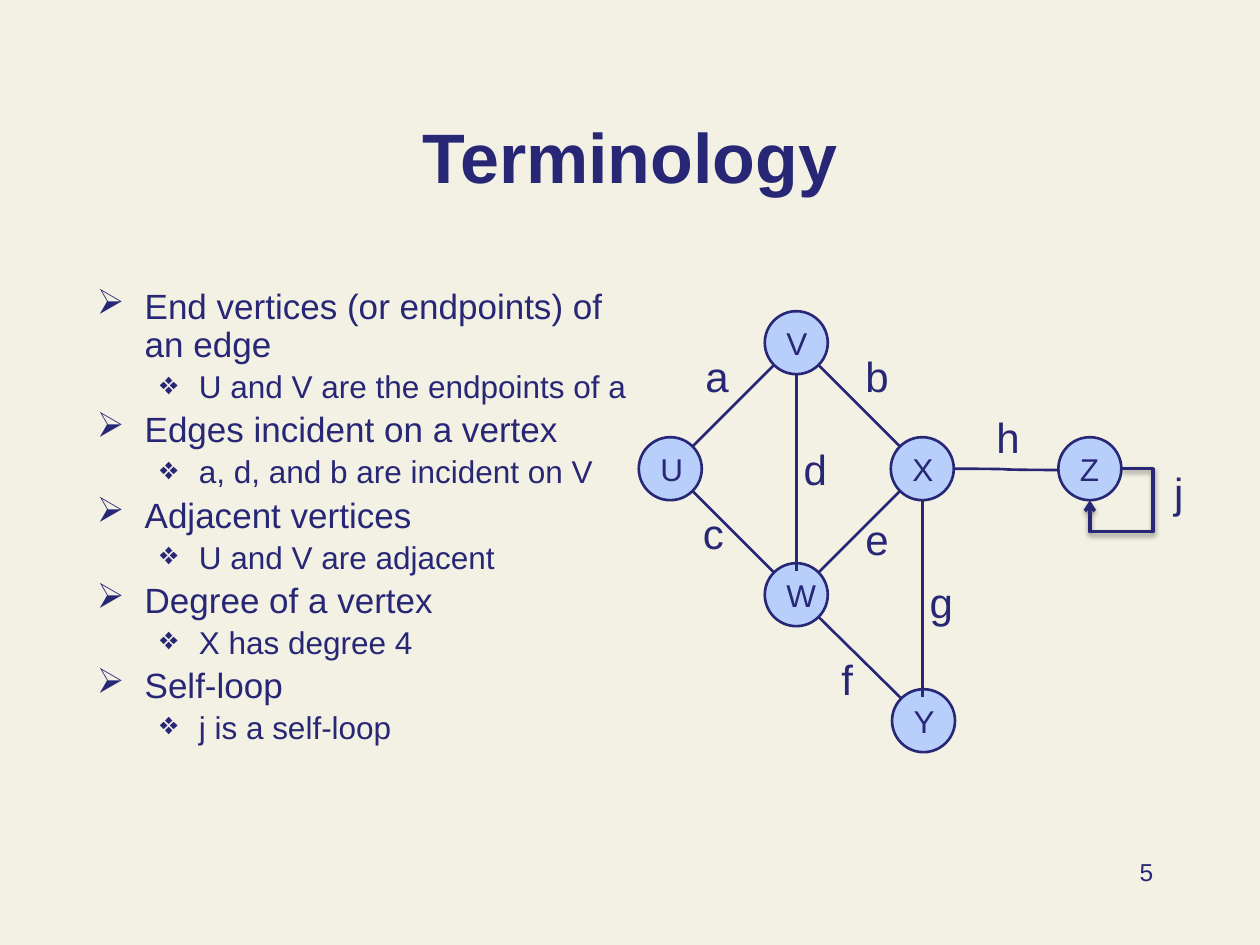
import pptx
import pptx.util
import pptx.dml.color
import pptx.enum.shapes
import pptx.enum.text
import pptx.oxml
import pptx.oxml.ns
from pptx.util import Inches

NAVY = pptx.dml.color.RGBColor(0x27, 0x27, 0x76)
BLUE = pptx.dml.color.RGBColor(0xB8, 0xCF, 0xFB)
CREAM = pptx.dml.color.RGBColor(0xF3, 0xF1, 0xE4)
ALIGN = pptx.enum.text.PP_ALIGN
ANCHOR = pptx.enum.text.MSO_ANCHOR
LINK = pptx.enum.shapes.MSO_CONNECTOR
NS = pptx.oxml.ns.nsdecls("a")

deck = pptx.Presentation()
deck.slide_width, deck.slide_height = Inches(10), Inches(7.5)
slide = deck.slides.add_slide(deck.slide_layouts[6])
slide.background.fill.solid()
slide.background.fill.fore_color.rgb = CREAM


def write(para, text, size, bold=False):
    run = para.add_run()
    run.text = text
    run.font.name = "Arial"
    run.font.size = pptx.util.Pt(size)
    run.font.bold = bold
    run.font.color.rgb = NAVY


def link(kind, start, end, width=1.5):
    edge = slide.shapes.add_connector(kind, *map(Inches, start + end))
    edge.line.color.rgb = NAVY
    edge.line.width = pptx.util.Pt(width)
    effects = pptx.oxml.parse_xml(f"<a:effectLst {NS}/>")
    edge._element.spPr.append(effects)
    return edge, effects


# Title
box = slide.shapes.add_textbox(Inches(0.75), Inches(0.54), Inches(8.5), Inches(1.08))
frame = box.text_frame
frame.word_wrap = True
frame.vertical_anchor = ANCHOR.BOTTOM
frame.paragraphs[0].alignment = ALIGN.CENTER
write(frame.paragraphs[0], "Terminology", 40, True)

# Terms, each with an example below it
terms = [
    ("End vertices (or endpoints) of an edge", "U and V are the endpoints of a"),
    ("Edges incident on a vertex", "a, d, and b are incident on V"),
    ("Adjacent vertices", "U and V are adjacent"),
    ("Degree of a vertex", "X has degree 4"),
    ("Self-loop", "j is a self-loop"),
]
# level: size, space before, bullet, left margin, hanging indent
styles = [(20, 4, "➢", 0.38, -0.38), (18, 3.6, "❖", 0.81, -0.31)]
box = slide.shapes.add_textbox(Inches(0.67), Inches(2.25), Inches(4.43), Inches(4.92))
frame = box.text_frame
frame.word_wrap = True
for row, pair in enumerate(terms):
    for level, text in enumerate(pair):
        size, space, mark, left, hang = styles[level]
        first = row == level == 0
        para = frame.paragraphs[0] if first else frame.add_paragraph()
        para.level = level
        para.line_spacing = 0.9
        para.space_before = pptx.util.Pt(0 if first else space)
        props = para._p.get_or_add_pPr()
        props.set("marL", str(Inches(left)))
        props.set("indent", str(Inches(hang)))
        for xml in (f'<a:buClr {NS}><a:srgbClr val="{NAVY}"/></a:buClr>',
                    f'<a:buChar {NS} char="{mark}"/>'):
            props.append(pptx.oxml.parse_xml(xml))
        write(para, text, size)

# Slide number
box = slide.shapes.add_textbox(Inches(7.17), Inches(6.75), Inches(2.08), Inches(0.5))
box.text_frame.word_wrap = True
box.text_frame.paragraphs[0].alignment = ALIGN.RIGHT
write(box.text_frame.paragraphs[0], "5", 14)

# Vertices, by centre
nodes = {"X": (7.32, 3.72), "U": (5.32, 3.72), "V": (6.32, 2.72),
         "W": (6.32, 4.72), "Z": (8.65, 3.72), "Y": (7.33, 5.72)}
RAD = 0.25
for name, (x, y) in nodes.items():
    node = slide.shapes.add_shape(
        pptx.enum.shapes.MSO_SHAPE.OVAL, Inches(x - RAD), Inches(y - RAD),
        Inches(2 * RAD), Inches(2 * RAD))
    node.shadow.inherit = False
    node.fill.solid()
    node.fill.fore_color.rgb = BLUE
    node.line.color.rgb = NAVY
    node.line.width = pptx.util.Pt(1.5)
    frame = node.text_frame
    frame.word_wrap = True
    frame.vertical_anchor = ANCHOR.MIDDLE
    frame.paragraphs[0].alignment = ALIGN.LEFT
    write(frame.paragraphs[0], name, 18)

# Diagonal edges, from rim to rim at 45 degrees
DIAG = RAD * 0.71
for one, two in ("VU", "WU", "WX", "VX", "WY"):
    (x1, y1), (x2, y2) = nodes[one], nodes[two]
    dx = DIAG if x2 > x1 else -DIAG
    dy = DIAG if y2 > y1 else -DIAG
    link(LINK.STRAIGHT, (x1 + dx, y1 + dy), (x2 - dx, y2 - dy))

# Upright edges d and g, ending just inside the lower vertex
for name in "VX":
    x, y = nodes[name]
    link(LINK.STRAIGHT, (x, y + RAD), (x, y + RAD + 1.56))

# Edge h
link(LINK.CURVE, (7.57, 3.72), (8.4, 3.73))

# Self-loop j, with arrowhead and soft shadow
x, y = nodes["Z"]
loop, effects = link(LINK.ELBOW, (x + RAD, y), (x, y + RAD), 2)
loop.line._get_or_add_ln().append(
    pptx.oxml.parse_xml(f'<a:tailEnd {NS} type="arrow"/>'))
geom = loop._element.spPr.find(pptx.oxml.ns.qn("a:prstGeom"))
geom.set("prst", "bentConnector4")
guides = geom.get_or_add_avLst()
for name, value in (("adj1", -100000), ("adj2", 200000)):
    guides.append(pptx.oxml.parse_xml(f'<a:gd {NS} name="{name}" fmla="val {value}"/>'))
effects.append(pptx.oxml.parse_xml(
    f'<a:outerShdw {NS} blurRad="{pptx.util.Pt(3.1)}" dist="{pptx.util.Pt(1.6)}" '
    'dir="5400000" rotWithShape="0"><a:srgbClr val="000000">'
    '<a:alpha val="38000"/></a:srgbClr></a:outerShdw>'))

# Edge labels: left, top, width
labels = {"a": (5.5, 2.73, 0.38), "c": (5.48, 3.98, 0.36), "b": (6.77, 2.73, 0.39),
          "e": (6.77, 4.03, 0.38), "d": (6.28, 3.47, 0.39), "f": (6.58, 5.14, 0.31),
          "g": (7.28, 4.53, 0.39), "h": (7.81, 3.22, 0.39), "j": (9.22, 3.65, 0.3)}
for name, (x, y, wide) in labels.items():
    box = slide.shapes.add_textbox(Inches(x), Inches(y), Inches(wide), Inches(0.5))
    box.text_frame.word_wrap = False
    write(box.text_frame.paragraphs[0], name, 24)

deck.save("out.pptx")
